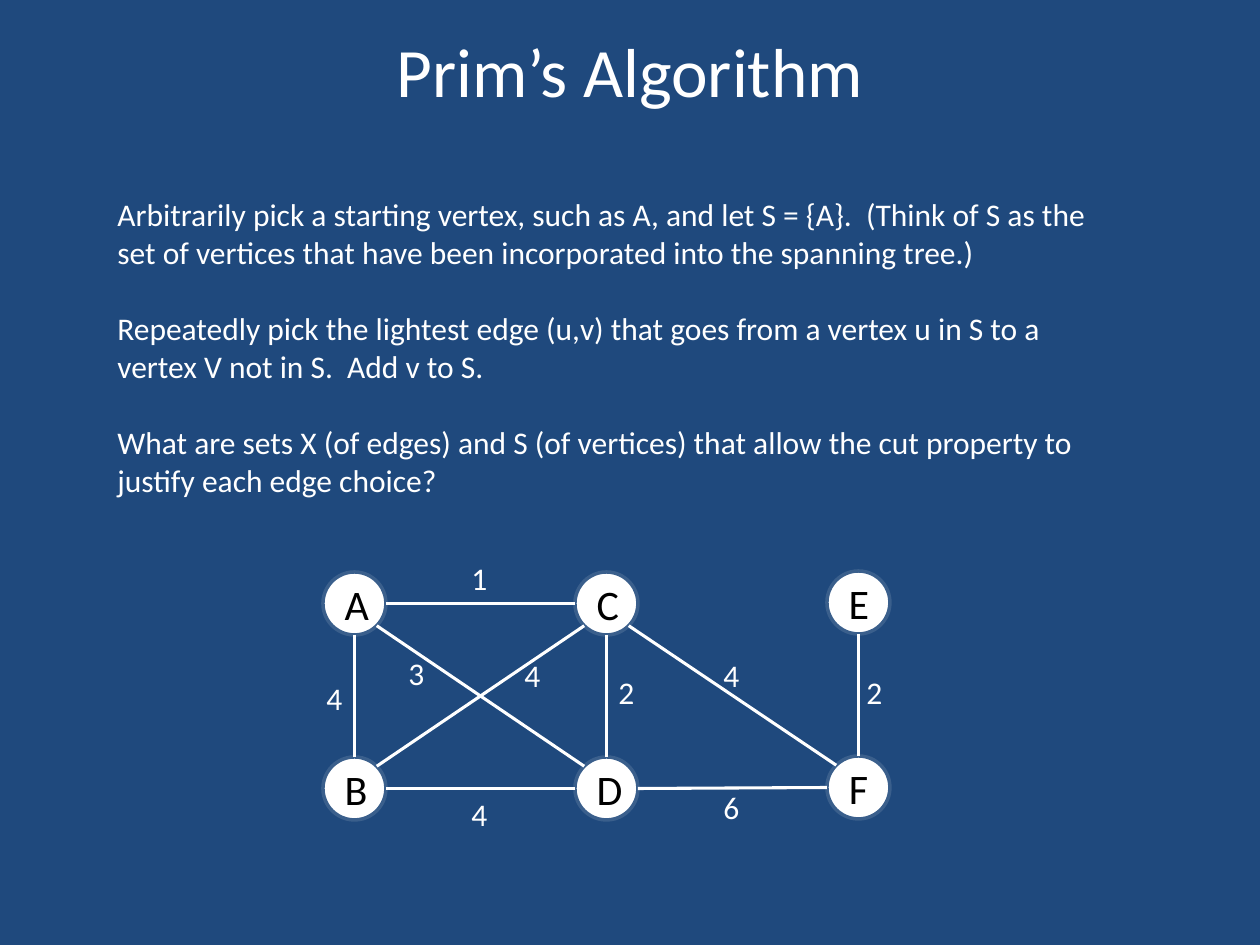
from math import sqrt

from pptx import Presentation
from pptx.dml.color import RGBColor
from pptx.enum.shapes import MSO_CONNECTOR as CONN, MSO_SHAPE as SHAPE
from pptx.enum.text import MSO_ANCHOR as ANCHOR, MSO_AUTO_SIZE as AUTO, PP_ALIGN as ALIGN
from pptx.oxml.ns import qn
from pptx.util import Pt
from lxml.etree import SubElement

COLORS = {"navy": "1F497D", "white": "FFFFFF", "rim": "3A5F8C", "black": "000000"}
RGB = {name: RGBColor.from_string(value) for name, value in COLORS.items()}
FONT = "Calibri"


def px(n):
    """Turn picture pixels into EMU."""
    return round(n * 914400 / 126)


def write(sp, *paras, size=18, color="white", align=ALIGN.LEFT, anchor=ANCHOR.TOP,
          wrap=True, grow=False, gap=0):
    """Fill a shape with paragraphs in one format, gap points apart."""
    tf = sp.text_frame
    tf.word_wrap = wrap
    tf.vertical_anchor = anchor
    tf.auto_size = AUTO.SHAPE_TO_FIT_TEXT if grow else AUTO.NONE
    for i, text in enumerate(paras):
        p = tf.add_paragraph() if i else tf.paragraphs[0]
        p.alignment = align
        p.space_before = Pt(gap if i else 0)
        r = p.add_run()
        r.text = text
        r.font.name, r.font.size = FONT, Pt(size)
        r.font.color.rgb = RGB[color]


prs = Presentation()
prs.slide_width, prs.slide_height = px(1260), px(945)
s = prs.slides.add_slide(prs.slide_layouts[6])
s.background.fill.solid()
s.background.fill.fore_color.rgb = RGB["navy"]

# Title and explanation
title = s.shapes.add_textbox(px(63), px(21), px(1134), px(98))
write(title, "Prim’s Algorithm", size=39.6, align=ALIGN.CENTER, anchor=ANCHOR.MIDDLE)

steps = s.shapes.add_textbox(px(105), px(189), px(1018), px(357))
write(steps,
      "Arbitrarily pick a starting vertex, such as A, and let S = {A}.  (Think of S as the "
      "set of vertices that have been incorporated into the spanning tree.)",
      "Repeatedly pick the lightest edge (u,v) that goes from a vertex u in S to a "
      "vertex V not in S.  Add v to S.",
      "What are sets X (of edges) and S (of vertices) that allow the cut property to "
      "justify each edge choice?",
      grow=True, gap=22)

# Vertices: left and top of each circle
SIZE = 63
vertices = {"A": (323, 572), "B": (323, 757), "C": (575, 572),
            "D": (575, 757), "E": (827, 571), "F": (827, 756)}
for name, (x, y) in vertices.items():
    sp = s.shapes.add_shape(SHAPE.OVAL, px(x), px(y), px(SIZE), px(SIZE))
    sp.shadow.inherit = False
    sp.fill.solid()
    sp.fill.fore_color.rgb = RGB["white"]
    sp.line.color.rgb = RGB["rim"]
    sp.line.width = Pt(2)
    write(sp, name, size=24, color="black", align=ALIGN.CENTER, anchor=ANCHOR.MIDDLE)

# Edges: ends, direction of travel, weight, left and top of the weight label
edges = [
    ("A", "C", 1, 0, "1", 459, 553),
    ("A", "B", 0, 1, "4", 314, 673),
    ("A", "D", 1, 1, "3", 396, 648),
    ("B", "C", 1, -1, "4", 512, 650),
    ("B", "D", 1, 0, "4", 459, 789),
    ("C", "D", 0, 1, "2", 606, 667),
    ("C", "F", 1, 1, "4", 711, 650),
    ("D", "F", 1, 0, "6", 711, 782),
    ("E", "F", 0, 1, "2", 854, 667),
]
for start, end, dx, dy, weight, x, y in edges:
    (x1, y1), (x2, y2) = vertices[start], vertices[end]
    half = SIZE / 2
    reach = half / sqrt(dx * dx + dy * dy)
    line = s.shapes.add_connector(
        CONN.STRAIGHT,
        px(x1 + half + dx * reach), px(y1 + half + dy * reach),
        px(x2 + half - dx * reach), px(y2 + half - dy * reach))
    line.line.color.rgb = RGB["white"]
    line.line.width = Pt(1.75)
    SubElement(line._element.spPr, qn("a:effectLst"))

    label = s.shapes.add_textbox(px(x), px(y), px(41), px(50))
    write(label, weight, wrap=False, grow=True)

prs.save("out.pptx")
